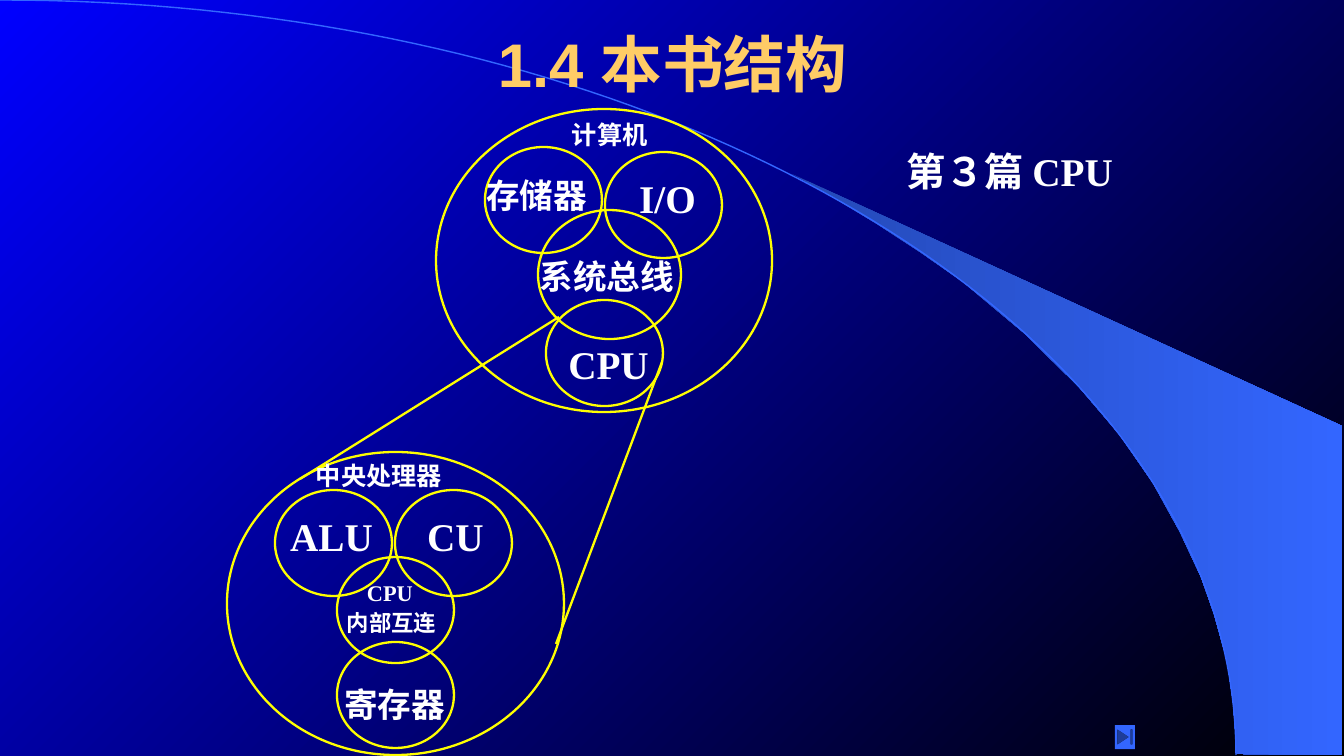
from lxml import etree
from pptx import Presentation
from pptx.dml.color import RGBColor
from pptx.enum.shapes import MSO_CONNECTOR, MSO_SHAPE
from pptx.enum.text import MSO_ANCHOR, PP_ALIGN
from pptx.oxml.ns import qn
from pptx.util import Emu, Pt

ELLIPSE = MSO_SHAPE.OVAL
END_BUTTON = MSO_SHAPE.ACTION_BUTTON_END
STRAIGHT = MSO_CONNECTOR.STRAIGHT
LEFT, CENTER = PP_ALIGN.LEFT, PP_ALIGN.CENTER
TOP, MIDDLE = MSO_ANCHOR.TOP, MSO_ANCHOR.MIDDLE

EMU_PER_PX = 914400 / 100.8
COLORS = {
    "sky": "0000FF",
    "night": "000000",
    "title": "FFCC66",
    "text": "FFFFFF",
    "outline": "FFFF00",
    "accent": "3366FF",
    "accent_dark": "2449B6",
}
HAN, SERIF, SANS = "Noto Sans CJK SC", "Times New Roman", "Arial"


def px(length):
    return Emu(round(length * EMU_PER_PX))


def rgb(name):
    return RGBColor.from_string(COLORS[name])


class Diagram:
    """Draws on one slide in the style of the book."""

    def __init__(self, slide):
        self.slide = slide
        self.shapes = slide.shapes

    def gradient(self, fill, start, end, angle):
        fill.gradient()
        fill.gradient_angle = angle
        for stop, position, color in zip(fill.gradient_stops, (0, 1), (start, end)):
            stop.position = position
            stop.color.rgb = rgb(color)

    def outline(self, shape, color, width):
        shape.line.color.rgb = rgb(color)
        shape.line.width = Pt(width)

    def ellipse(self, left, top, width=117, height=106):
        ring = self.shapes.add_shape(ELLIPSE, px(left), px(top), px(width), px(height))
        ring.shadow.inherit = False
        ring.fill.background()
        self.outline(ring, "outline", 1.63)

    def line(self, start, end):
        ray = self.shapes.add_connector(STRAIGHT, *map(px, start + end))
        self.outline(ray, "outline", 1.63)
        etree.SubElement(ray._element.spPr, qn("a:effectLst"))

    def button(self, left, top, width, height):
        button = self.shapes.add_shape(END_BUTTON, px(left), px(top), px(width), px(height))
        button.shadow.inherit = False
        button.fill.solid()
        button.fill.fore_color.rgb = rgb("accent")
        button.line.fill.background()

    def freeform(self, points, closed):
        corners = [(px(x), px(y)) for x, y in points]
        builder = self.shapes.build_freeform(*corners[0])
        builder.add_line_segments(corners[1:], close=closed)
        outline = builder.convert_to_shape()
        outline.shadow.inherit = False
        return outline

    def text(self, box, runs, size, align=CENTER, color="text", anchor=TOP):
        """Each run is a pair of words and font."""
        frame = self.shapes.add_textbox(*map(px, box)).text_frame
        frame.margin_left = frame.margin_right = 0
        frame.margin_top = frame.margin_bottom = 0
        frame.word_wrap = True
        frame.vertical_anchor = anchor
        paragraph = frame.paragraphs[0]
        paragraph.alignment = align
        for words, face in runs:
            run = paragraph.add_run()
            run.text = words
            run.font.size = Pt(size)
            run.font.bold = True
            run.font.color.rgb = rgb(color)
            run.font.name = face
            etree.SubElement(run.font._element, qn("a:ea")).set("typeface", HAN)


def arc_points(start, control_1, control_2, end, steps=80):
    """Points along a cubic Bezier curve."""
    for step in range(steps + 1):
        t = step / steps
        u = 1 - t
        yield tuple(
            u**3 * a + 3 * u * u * t * b + 3 * u * t * t * c + t**3 * d
            for a, b, c, d in zip(start, control_1, control_2, end)
        )


WEDGE = [
    (1237, 754), (1342, 755), (1342, 426), (792, 174), (839, 201), (877, 224),
    (920, 252), (963, 282), (1024, 333), (1079, 387), (1119, 434), (1153, 483),
    (1180, 532), (1201, 577), (1214, 614), (1227, 661), (1233, 702),
]
COMPUTER_RINGS = [
    (436, 109, 336, 303), (485, 147), (605, 152), (538, 210, 143, 129), (546, 300),
]
PROCESSOR_RINGS = [(227, 452, 337, 303), (275, 490), (395, 490), (337, 557), (337, 642)]
ZOOM_LINES = [((559, 317), (300, 479)), ((662, 362), (556, 644))]
LABELS = [
    ((572, 119, 120, 30), "计算机", HAN, 18, LEFT),
    ((476, 175, 121, 40), "存储器", HAN, 24, CENTER),
    ((617, 174, 101, 47), "I/O", SERIF, 28, CENTER),
    ((527, 256, 160, 40), "系统总线", HAN, 24, CENTER),
    ((558, 340, 101, 47), "CPU", SERIF, 28, CENTER),
    ((316, 460, 264, 30), "中央处理器", HAN, 18, LEFT),
    ((281, 512, 101, 47), "ALU", SERIF, 28, CENTER),
    ((405, 512, 101, 47), "CU", SERIF, 28, CENTER),
    ((367, 579, 90, 27), "CPU", SERIF, 16, LEFT),
    ((347, 609, 110, 27), "内部互连", HAN, 16, LEFT),
    ((334, 684, 121, 40), "寄存器", HAN, 24, CENTER),
]


def main():
    deck = Presentation()
    deck.slide_width, deck.slide_height = px(1344), px(756)
    diagram = Diagram(deck.slides.add_slide(deck.slide_layouts[6]))

    diagram.gradient(diagram.slide.background.fill, "sky", "night", 315)
    wedge = diagram.freeform(WEDGE, closed=True)
    diagram.gradient(wedge.fill, "accent_dark", "accent", 0)
    wedge.line.fill.background()
    arc = diagram.freeform(
        arc_points((0, 0), (682, 0), (1236, 338), (1236, 755)), closed=False
    )
    arc.fill.background()
    diagram.outline(arc, "accent", 1)

    diagram.text(
        (244, 0, 857, 126), [("1.4 本书结构", SANS)],
        44, color="title", anchor=MIDDLE,
    )
    diagram.text(
        (842, 147, 335, 47),
        [("第", HAN), ("３", SERIF), ("篇 ", HAN), ("CPU", SERIF)],
        28,
    )
    for ring in COMPUTER_RINGS + PROCESSOR_RINGS:
        diagram.ellipse(*ring)
    for start, end in ZOOM_LINES:
        diagram.line(start, end)
    for box, words, face, size, align in LABELS:
        diagram.text(box, [(words, face)], size, align)
    diagram.button(1115, 725, 20, 24)

    deck.save("out.pptx")


if __name__ == "__main__":
    main()
